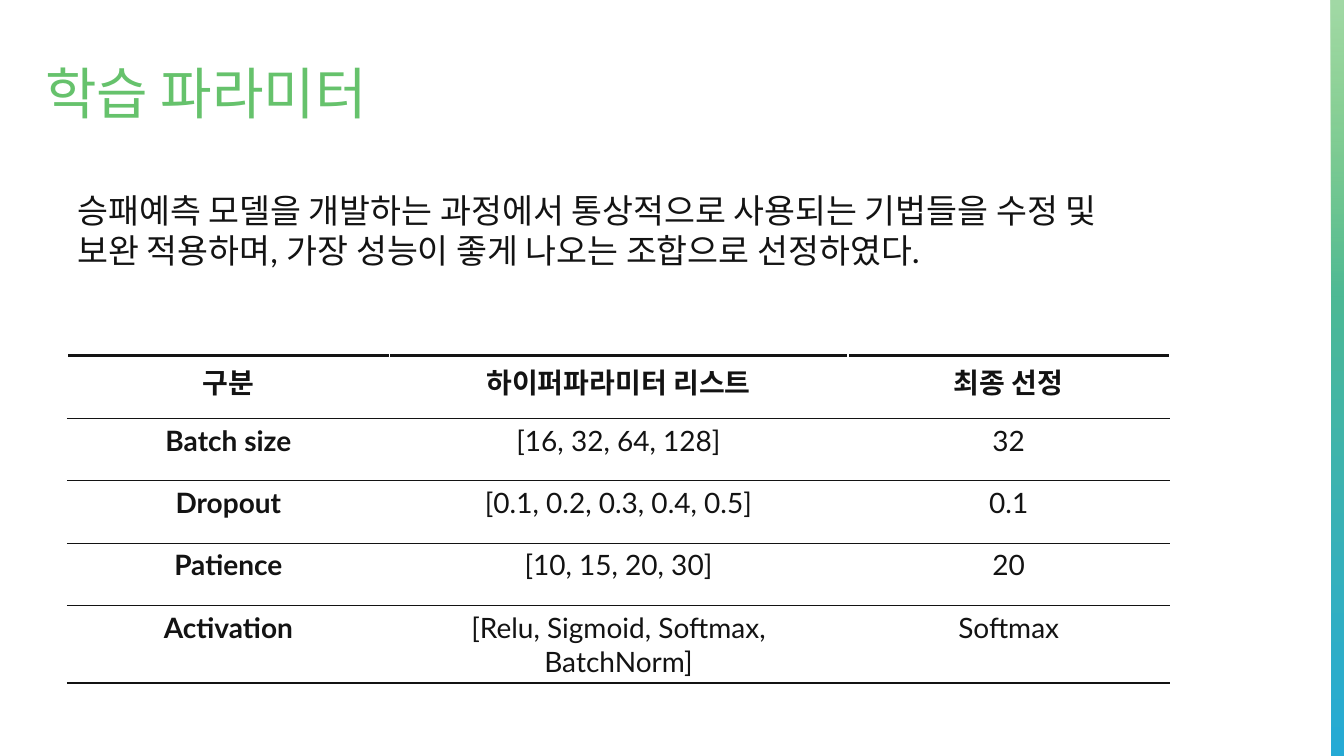
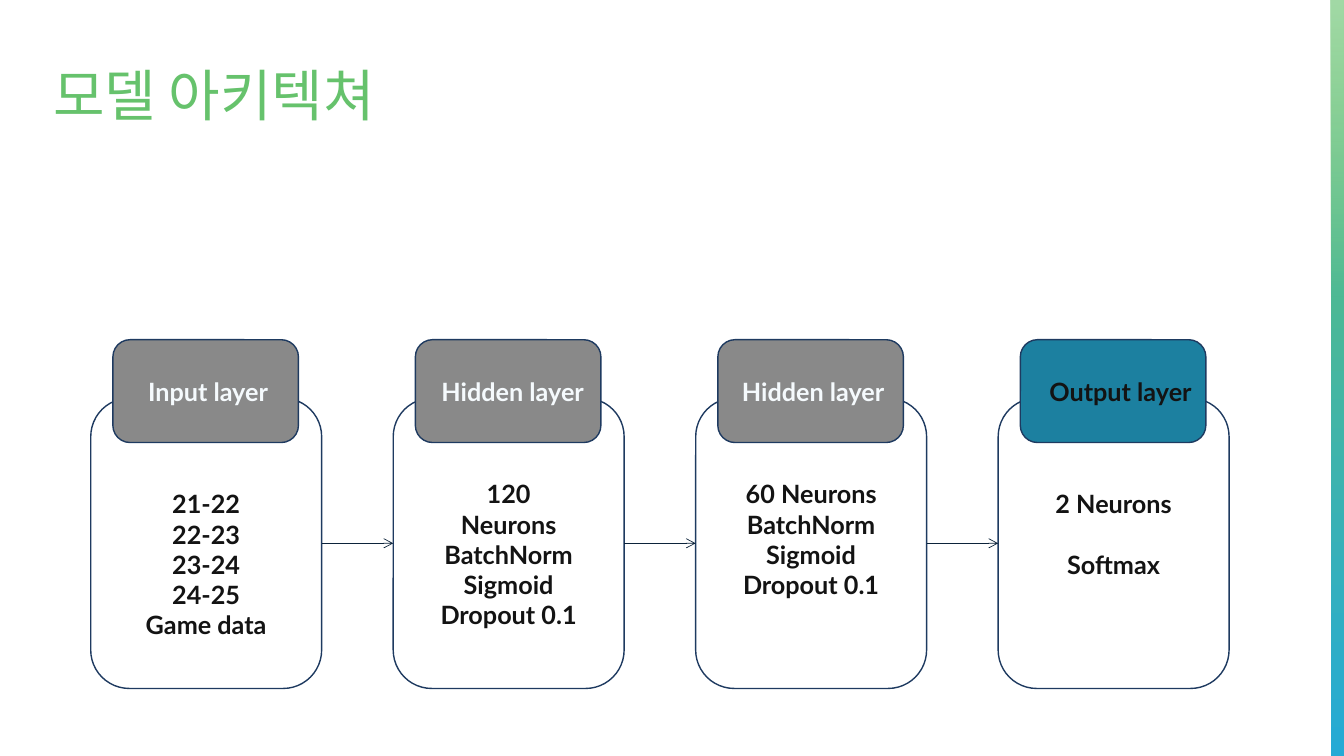
from dataclasses import dataclass

from lxml.etree import SubElement
from pptx import Presentation
from pptx.dml.color import RGBColor
from pptx.enum.shapes import MSO_CONNECTOR, MSO_SHAPE
from pptx.enum.text import MSO_ANCHOR, MSO_AUTO_SIZE, PP_ALIGN
from pptx.oxml import parse_xml
from pptx.oxml.ns import nsdecls, qn
from pptx.util import Inches, Pt


@dataclass(frozen=True)
class Theme:
    font: str = "Lato"
    ink: str = "131313"
    paper: str = "FFFFFF"
    pale: str = "F5FAFD"
    green: str = "66C26C"
    blue: str = "25AAD5"
    mint: str = "A3DAA7"
    outline: str = "1E3A60"
    arrow: str = "0C233A"
    gray: str = "898989"
    teal: str = "1C80A0"
    title_size: int = 40
    intro_size: int = 24
    table_size: int = 20
    layer_size: int = 18


THEME = Theme()
TITLE_ONLY = 5

INTRO = ("승패예측 모델을 개발하는 과정에서 통상적으로 사용되는 기법들을 수정 및 보완 적용하며, "
         "가장 성능이 좋게 나오는 조합으로 선정하였다.")
COLUMN_WIDTHS = (3.19, 4.55, 3.19)
PARAMETERS = (
    ("구분", "하이퍼파라미터 리스트", "최종 선정"),
    ("Batch size", "[16, 32, 64, 128]", "32"),
    ("Dropout", "[0.1, 0.2, 0.3, 0.4, 0.5]", "0.1"),
    ("Patience", "[10, 15, 20, 30]", "20"),
    ("Activation", "[Relu, Sigmoid, Softmax, BatchNorm]", "Softmax"),
)


@dataclass(frozen=True)
class Layer:
    name: str
    details: tuple
    name_left: float      # offset from the card's left edge
    details_top: float    # offset from the card's top edge
    gap: float = 0        # points between detail lines
    tab_color: str = THEME.gray
    name_color: str = THEME.pale


LAYERS = (
    Layer("Input layer", ("21-22", "22-23", "23-24", "24-25", "Game data"), 0.47, 0.85),
    Layer("Hidden layer", ("120 Neurons", "BatchNorm", "Sigmoid", "Dropout 0.1"), 0.38, 0.75),
    Layer("Hidden layer", ("60 Neurons", "BatchNorm", "Sigmoid", "Dropout 0.1"), 0.36, 0.75),
    Layer("Output layer", ("2 Neurons", "Softmax"), 0.41, 0.85, gap=21.6,
          tab_color=THEME.teal, name_color=THEME.ink),
)


def rgb(color):
    return RGBColor.from_string(color)


def write_text(frame, *lines, size, color=THEME.ink, bold=False,
               align=PP_ALIGN.LEFT, gap=0, line_spacing=None):
    """Fill a text frame with one paragraph for each line."""
    frame.word_wrap = True
    for index, line in enumerate(lines):
        paragraph = frame.add_paragraph() if index else frame.paragraphs[0]
        paragraph.alignment = align
        paragraph.line_spacing = line_spacing
        if index and gap:
            paragraph.space_before = Pt(gap)
        run = paragraph.add_run()
        run.text = line
        run.font.name = THEME.font
        run.font.size = Pt(size)
        run.font.bold = bold
        run.font.color.rgb = rgb(color)


def add_text(slide, left, top, width, height, *lines, **style):
    box = slide.shapes.add_textbox(Inches(left), Inches(top), Inches(width), Inches(height))
    write_text(box.text_frame, *lines, **style)


def add_box(slide, preset, left, top, width, height, fill=None, line=None):
    box = slide.shapes.add_shape(preset, Inches(left), Inches(top), Inches(width), Inches(height))
    box.shadow.inherit = False
    if fill:
        box.fill.solid()
        box.fill.fore_color.rgb = rgb(fill)
    else:
        box.fill.background()
    if line:
        box.line.color.rgb = rgb(line)
        box.line.width = Pt(1)
    else:
        box.line.fill.background()
    return box


def fill_upward(box, lower, upper, start=0.0):
    """Blend from the lower colour to the upper one, bottom to top."""
    box.fill.gradient()
    box.fill.gradient_angle = 90
    stops = box.fill.gradient_stops
    for stop, color, position in zip(stops, (lower, upper), (start, 1.0)):
        stop.color.rgb = rgb(color)
        stop.position = position


def add_side_band(slide, layout, left=13.2, width=0.13, height=7.5, glow_height=3.64):
    """Draw the band at the right edge and hand it to the layout."""
    band = add_box(slide, MSO_SHAPE.RECTANGLE, left, 0, width, height)
    fill_upward(band, THEME.blue, THEME.green)
    glow = add_box(slide, MSO_SHAPE.RECTANGLE, left, 0, width, glow_height)
    fill_upward(glow, THEME.mint, THEME.mint, start=0.19)
    faded = glow.element.spPr.find(".//" + qn("a:srgbClr"))
    SubElement(faded, qn("a:alpha"), val="0")
    for placeholder in list(layout.placeholders)[1:]:
        layout.shapes.element.remove(placeholder.element)
    for part in (band, glow):
        layout.shapes.element.append(part.element)


def add_titled_slide(deck, heading, left, top):
    slide = deck.slides.add_slide(deck.slide_layouts[TITLE_ONLY])
    title = slide.shapes.title
    title.left, title.top = Inches(left), Inches(top)
    title.width, title.height = Inches(11.89), Inches(0.82)
    title.text_frame.auto_size = MSO_AUTO_SIZE.NONE
    title.text_frame.vertical_anchor = MSO_ANCHOR.MIDDLE
    write_text(title.text_frame, heading, size=THEME.title_size,
               color=THEME.green, line_spacing=0.9)
    return slide


def rule_cell(cell, top, bottom):
    """Set the rules above and below a cell, with widths in points."""
    properties = cell._tc.get_or_add_tcPr()
    for index, (edge, width) in enumerate((("lnT", top), ("lnB", bottom))):
        properties.insert(index, parse_xml(
            f'<a:{edge} {nsdecls("a")} w="{Pt(width)}"><a:solidFill>'
            f'<a:srgbClr val="{THEME.ink}"/></a:solidFill></a:{edge}>'))


def add_parameter_table(slide, left, top, row_height=0.62):
    table = slide.shapes.add_table(
        len(PARAMETERS), len(COLUMN_WIDTHS), Inches(left), Inches(top),
        Inches(sum(COLUMN_WIDTHS)), Inches(row_height * len(PARAMETERS))).table
    table.first_row = table.horz_banding = False
    for column, width in zip(table.columns, COLUMN_WIDTHS):
        column.width = Inches(width)
    for r, values in enumerate(PARAMETERS):
        table.rows[r].height = Inches(row_height)
        for c, value in enumerate(values):
            cell = table.cell(r, c)
            cell.fill.solid()
            cell.fill.fore_color.rgb = rgb(THEME.paper)
            rule_cell(cell, top=1 if r else 2.25, bottom=1)
            write_text(cell.text_frame, value, size=THEME.table_size,
                       bold=r == 0 or c == 0, align=PP_ALIGN.CENTER)


def add_layer_card(slide, layer, left, top, width=2.29, height=2.88):
    card = add_box(slide, MSO_SHAPE.ROUNDED_RECTANGLE, left, top, width, height,
                   line=THEME.outline)
    # Tab with the layer's name
    add_box(slide, MSO_SHAPE.ROUNDED_RECTANGLE, left + 0.22, top - 0.58, 1.84, 1.02,
            fill=layer.tab_color, line=THEME.outline)
    add_text(slide, left + layer.name_left, top - 0.27, 1.72, 0.41, layer.name,
             size=THEME.layer_size, color=layer.name_color, bold=True)
    # What the layer holds
    details_width = 1.6
    add_text(slide, left + (width - details_width) / 2, top + layer.details_top,
             details_width, 1.6, *layer.details, size=THEME.layer_size,
             bold=True, align=PP_ALIGN.CENTER, gap=layer.gap)
    return card


def add_arrow(slide, source, target):
    arrow = slide.shapes.add_connector(MSO_CONNECTOR.STRAIGHT, 0, 0, 0, 0)
    arrow.begin_connect(source, 3)
    arrow.end_connect(target, 1)
    arrow.line.color.rgb = rgb(THEME.arrow)
    arrow.line.width = Pt(0.5)
    SubElement(arrow.line._get_or_add_ln(), qn("a:tailEnd"), type="arrow")
    SubElement(arrow.element.spPr, qn("a:effectLst"))


def add_network(slide, left, top, pitch=3.0):
    cards = [add_layer_card(slide, layer, left + index * pitch, top)
             for index, layer in enumerate(LAYERS)]
    for source, target in zip(cards, cards[1:]):
        add_arrow(slide, source, target)


def build_parameter_slide(deck):
    slide = add_titled_slide(deck, "학습 파라미터", 0.35, 0.55)
    add_text(slide, 0.67, 1.83, 10.93, 0.91, INTRO, size=THEME.intro_size)
    add_parameter_table(slide, 0.67, 3.53)
    return slide


def build_architecture_slide(deck):
    slide = add_titled_slide(deck, "모델 아키텍쳐", 0.43, 0.57)
    add_network(slide, 0.9, 3.95)


def main():
    deck = Presentation()
    deck.slide_width, deck.slide_height = Inches(13.33), Inches(7.5)
    first = build_parameter_slide(deck)
    add_side_band(first, first.slide_layout)
    build_architecture_slide(deck)
    deck.save("out.pptx")


if __name__ == "__main__":
    main()
